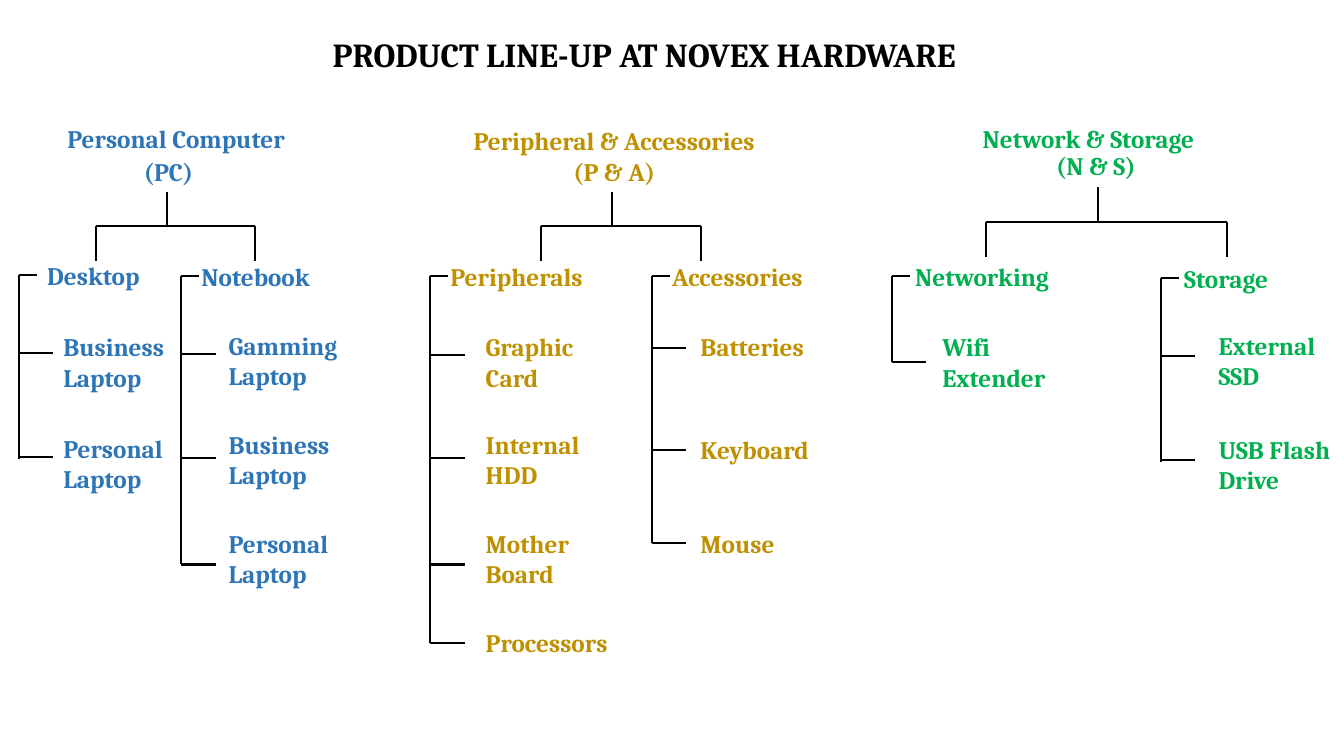
from dataclasses import dataclass

from lxml.etree import SubElement
from pptx import Presentation
from pptx.dml.color import RGBColor
from pptx.enum.shapes import MSO_CONNECTOR
from pptx.enum.text import MSO_ANCHOR, MSO_AUTO_SIZE, PP_ALIGN
from pptx.oxml.ns import qn
from pptx.util import Inches, Pt

# The grid has square cells a tenth of an inch wide; every length counts cells.
CELL = Inches(0.1)
SLIDE_COLUMNS, SLIDE_ROWS = 133.33, 75
LINE_ROWS, TWO_LINE_ROWS = 4, 7.1
DROP = 3.45
TICK = 3.4
NAME_TICK = 1.75
FONT = "Cambria"
COLORS = {
    "black": "000000",
    "computer": "2E75B6",
    "peripheral": "BF9000",
    "network": "00B050",
}


@dataclass
class Branch:
    """Spine offset from the family box; items are (text, tick row, text row)."""
    name: str
    column: float
    row: float
    name_column: float
    name_width: float
    item_column: float
    item_width: float
    items: list
    tail: float = 0


@dataclass
class Family:
    """Box is (left, top, width); labels are (text, column, row, width) from it."""
    color: str
    box: tuple
    stem: float
    labels: list
    branches: list


FAMILIES = [
    Family("computer", (9.5, 19, 15.8), 7.1,
           [("Personal Computer", -3.8, -7.3, 25.4), ("(PC)", 3.8, -4, 9)],
           [Branch("Desktop", -7.6, 8.3, 1.8, 11.6, 3.4, 14,
                   [("Business Laptop", 7.7, 5.1), ("Personal Laptop", 18, 15.2)], 0.2),
            Branch("Notebook", 8.5, 8.4, 1, 15.2, 3.7, 15,
                   [("Gamming Laptop", 7.7, 4.9), ("Business Laptop", 18, 14.7),
                    ("Personal Laptop", 28.6, 24.5)])]),
    Family("peripheral", (53.7, 19, 15.8), 7,
           [("Peripheral & Accessories", -7.7, -7.1, 32.4), ("(P & A)", 2.2, -4, 12.2)],
           [Branch("Peripherals", -11, 8.4, 1, 15.8, 4.5, 14.4,
                   [("Graphic Card", 7.8, 5), ("Internal HDD", 18, 14.7),
                    ("Mother Board", 28.6, 24.5), ("Processors", 36.4, 34.3)]),
            Branch("Accessories", 11, 8.4, 1, 16.1, 3.8, 14.4,
                   [("Batteries", 7.1, 5), ("Keyboard", 17.2, 15.2),
                    ("Mouse", 26.5, 24.5)])]),
    Family("network", (97.8, 18.6, 23.9), 11.1,
           [("Network & Storage", -1.3, -6.9, 25.1), ("(N & S)", 6, -4.2, 10.6)],
           [Branch("Networking", -9.3, 8.8, 1.3, 15.9, 4, 14.4,
                   [("Wifi Extender", 8.5, 5)]),
            Branch("Storage", 17.4, 9, 1.3, 14.4, 4.7, 14.4,
                   [("External SSD", 7.7, 4.7), ("USB Flash Drive", 18, 15)], 0.2)]),
]


def cells(*counts):
    return [round(count * CELL) for count in counts]


def write(shape, text, *, size=18, color="black", grow=True):
    frame = shape.text_frame
    frame.word_wrap = True
    frame.auto_size = MSO_AUTO_SIZE.SHAPE_TO_FIT_TEXT if grow else MSO_AUTO_SIZE.NONE
    frame.vertical_anchor = MSO_ANCHOR.TOP
    paragraph = frame.paragraphs[0]
    paragraph.alignment = PP_ALIGN.LEFT
    run = paragraph.add_run()
    run.text = text
    run.font.name = FONT
    run.font.size = Pt(size)
    run.font.bold = True
    run.font.color.rgb = RGBColor.from_string(COLORS[color])


def add_label(slide, text, left, top, width, color):
    rows = TWO_LINE_ROWS if " " in text and width <= 15 else LINE_ROWS
    write(slide.shapes.add_textbox(*cells(left, top, width, rows)), text, color=color)


def add_line(slide, left, top, right, bottom):
    connector = slide.shapes.add_connector(
        MSO_CONNECTOR.STRAIGHT, *cells(left, top, right, bottom))
    connector.line.color.rgb = RGBColor.from_string(COLORS["black"])
    connector.line.width = Pt(1.5)
    SubElement(connector.element.spPr, qn("a:effectLst"))


def add_title(slide, text, box):
    title = slide.shapes.title
    title.left, title.top, title.width, title.height = cells(*box)
    write(title, text, size=24, grow=False)


def add_branch(slide, branch, left, top, color):
    """Draw the spine down from (left, top) with a tick and a label per item."""
    bottom = top + branch.items[-1][1] + branch.tail
    add_line(slide, left, top, left, bottom)
    add_line(slide, left, top, left + NAME_TICK, top)
    add_label(slide, branch.name, left + branch.name_column, top - 2,
              branch.name_width, color)
    for text, tick_row, text_row in branch.items:
        add_line(slide, left, top + tick_row, left + TICK, top + tick_row)
        add_label(slide, text, left + branch.item_column, top + text_row,
                  branch.item_width, color)


def add_family(slide, family):
    left, top, width = family.box
    right, bar = left + width, top + DROP
    for text, column, row, label_width in family.labels:
        add_label(slide, text, left + column, top + row, label_width, family.color)
    add_line(slide, left + family.stem, top, left + family.stem, bar)
    add_line(slide, left, bar, right, bar)
    for end in (left, right):
        add_line(slide, end, bar, end, bar + DROP)
    for branch in family.branches:
        add_branch(slide, branch, left + branch.column, top + branch.row, family.color)


def main():
    presentation = Presentation()
    presentation.slide_width, presentation.slide_height = cells(SLIDE_COLUMNS, SLIDE_ROWS)
    slide = presentation.slides.add_slide(
        presentation.slide_layouts.get_by_name("Title Only"))
    add_title(slide, "PRODUCT LINE-UP AT NOVEX HARDWARE", (32, 2.9, 71.1, 5))
    for family in FAMILIES:
        add_family(slide, family)
    presentation.save("out.pptx")


if __name__ == "__main__":
    main()
